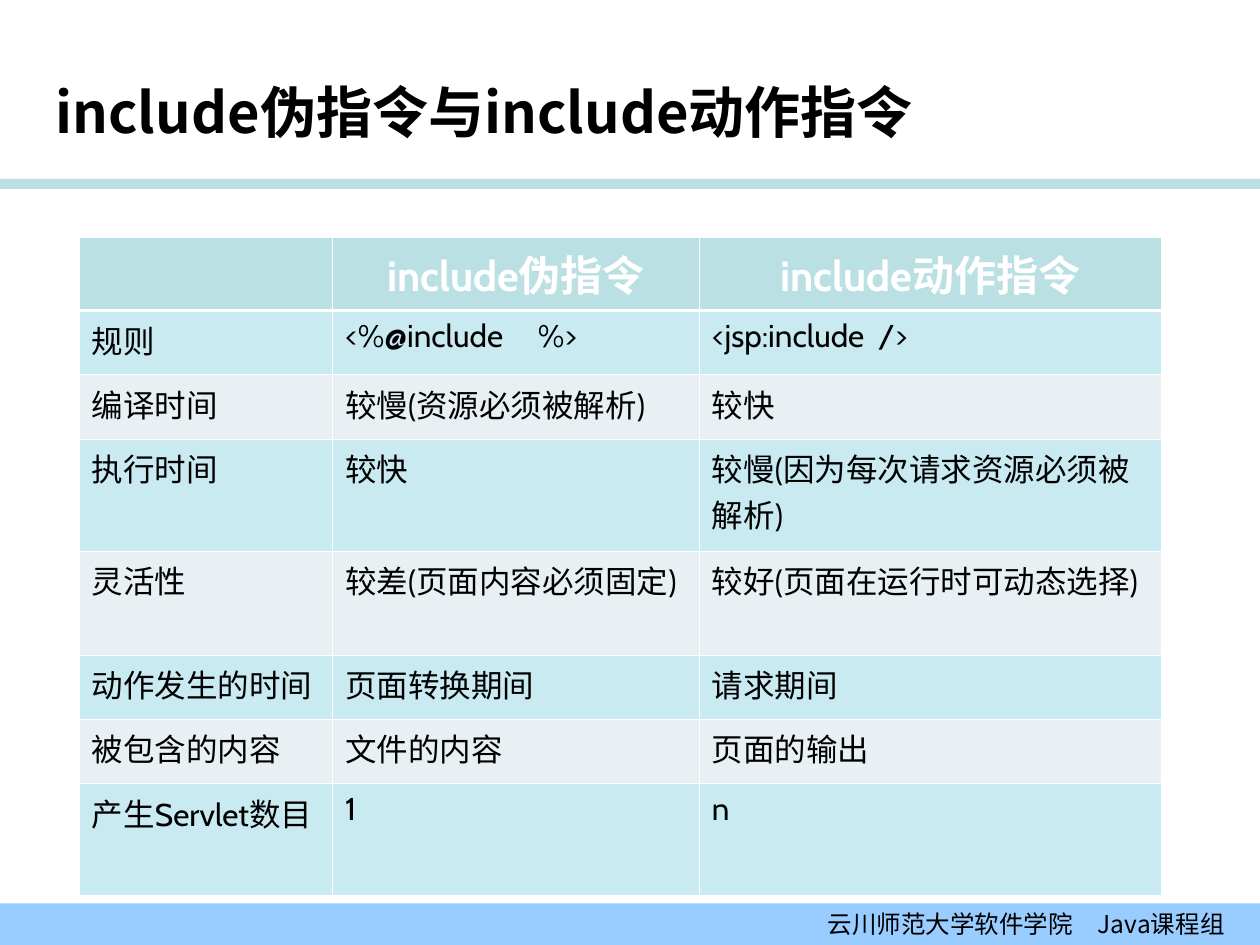
import pptx
import pptx.util
import pptx.dml.color
import pptx.enum.shapes
import pptx.enum.text
from lxml import etree
from pptx.util import Inches, Pt

CJK = "Noto Sans CJK SC"
LATIN = "Cabin"
TITLE = "include伪指令与include动作指令"
FOOTER = "云川师范大学软件学院\u3000Java课程组".replace("\u3000", "　")
ROWS = [
    ("", "include伪指令", "include动作指令"),
    ("规则", "<%@include\t%>", "<jsp:include\t/>"),
    ("编译时间", "较慢(资源必须被解析)", "较快"),
    ("执行时间", "较快", "较慢(因为每次请求资源必须被解析)"),
    ("灵活性", "较差(页面内容必须固定)", "较好(页面在运行时可动态选择)"),
    ("动作发生的时间", "页面转换期间", "请求期间"),
    ("被包含的内容", "文件的内容", "页面的输出"),
    ("产生Servlet数目", "1", "n"),
]
WIDTHS = [2.01, 2.91, 3.67]
HEIGHTS = [0.57, 0.51, 0.51, 0.89, 0.7, 0.51, 0.51, 0.89]
STOPS = [0, 1.53, 1.32]  # tab stop of each column, in inches
HEAD, ODD, EVEN = "BBE0E3", "CAEAF2", "E8F0F4"
THIN, THICK = 0.45, 1.47

ALIGN = pptx.enum.text.PP_ALIGN
MIDDLE = pptx.enum.text.MSO_ANCHOR.MIDDLE
NS = "{http://schemas.openxmlformats.org/drawingml/2006/main}"


def paint(fill, color):
    fill.solid()
    fill.fore_color.rgb = pptx.dml.color.RGBColor.from_string(color)


def write(frame, text, size, font, color="000000", bold=False, align=ALIGN.LEFT):
    para = frame.paragraphs[0]
    para.alignment = align
    run = para.add_run()
    run.text = text
    run.font.size, run.font.bold, run.font.name = Pt(size), bold, font
    paint(run.font.fill, color)
    latin = run.font._element.find(NS + "latin")
    latin.addnext(etree.Element(NS + "ea", typeface=CJK))
    return para


def add_bar(slide, top, height, color):
    bar = slide.shapes.add_shape(
        pptx.enum.shapes.MSO_SHAPE.RECTANGLE,
        0, Inches(top), Inches(10), Inches(height))
    bar.shadow.inherit = False
    bar.line.fill.background()
    paint(bar.fill, color)
    return bar


def add_stop(para, inches):
    tabs = etree.SubElement(para._p.get_or_add_pPr(), NS + "tabLst")
    etree.SubElement(tabs, NS + "tab", pos=str(Inches(inches)), algn="l")


def edge(cell, row):
    """Draw white cell borders, thicker between header and body."""
    widths = {"lnL": THIN, "lnR": THIN,
              "lnT": THICK if row == 1 else THIN,
              "lnB": THICK if row == 0 else THIN}
    props = cell._tc.get_or_add_tcPr()
    for i, (side, width) in enumerate(widths.items()):
        line = etree.Element(NS + side, w=str(Pt(width)))
        fill = etree.SubElement(line, NS + "solidFill")
        etree.SubElement(fill, NS + "srgbClr", val="FFFFFF")
        props.insert(i, line)


def add_grid(slide):
    table = slide.shapes.add_table(
        len(ROWS), len(WIDTHS), Inches(0.63), Inches(1.88),
        Inches(sum(WIDTHS)), Inches(sum(HEIGHTS))).table
    for col, width in zip(table.columns, WIDTHS):
        col.width = Inches(width)
    for r, (texts, height) in enumerate(zip(ROWS, HEIGHTS)):
        table.rows[r].height = Inches(height)
        for c, text in enumerate(texts):
            cell = table.cell(r, c)
            paint(cell.fill, HEAD if r == 0 else ODD if r % 2 else EVEN)
            edge(cell, r)
            if not text:
                continue
            if r == 0:
                write(cell.text_frame, text, 24, LATIN, "FFFFFF", True, ALIGN.CENTER)
            else:
                para = write(cell.text_frame, text, 18, LATIN)
                if "\t" in text:
                    add_stop(para, STOPS[c])


def main():
    deck = pptx.Presentation()
    deck.slide_width, deck.slide_height = Inches(10), Inches(7.5)
    slide = deck.slides.add_slide(deck.slide_layouts[5])

    title = slide.shapes.title
    title.left, title.top = Inches(0.34), Inches(0.46)
    title.width, title.height = Inches(9.27), Inches(0.85)
    title.text_frame.vertical_anchor = MIDDLE
    title.text_frame.auto_size = pptx.enum.text.MSO_AUTO_SIZE.NONE
    write(title.text_frame, TITLE, 32, CJK, bold=True)

    add_bar(slide, 1.42, 0.08, HEAD)
    foot = add_bar(slide, 7.17, 0.33, "99CCFF").text_frame
    foot.word_wrap = True
    foot.vertical_anchor = MIDDLE
    foot.margin_right = Inches(0.28)
    write(foot, FOOTER, 14, CJK, align=ALIGN.RIGHT)

    add_grid(slide)
    deck.save("out.pptx")


if __name__ == "__main__":
    main()
